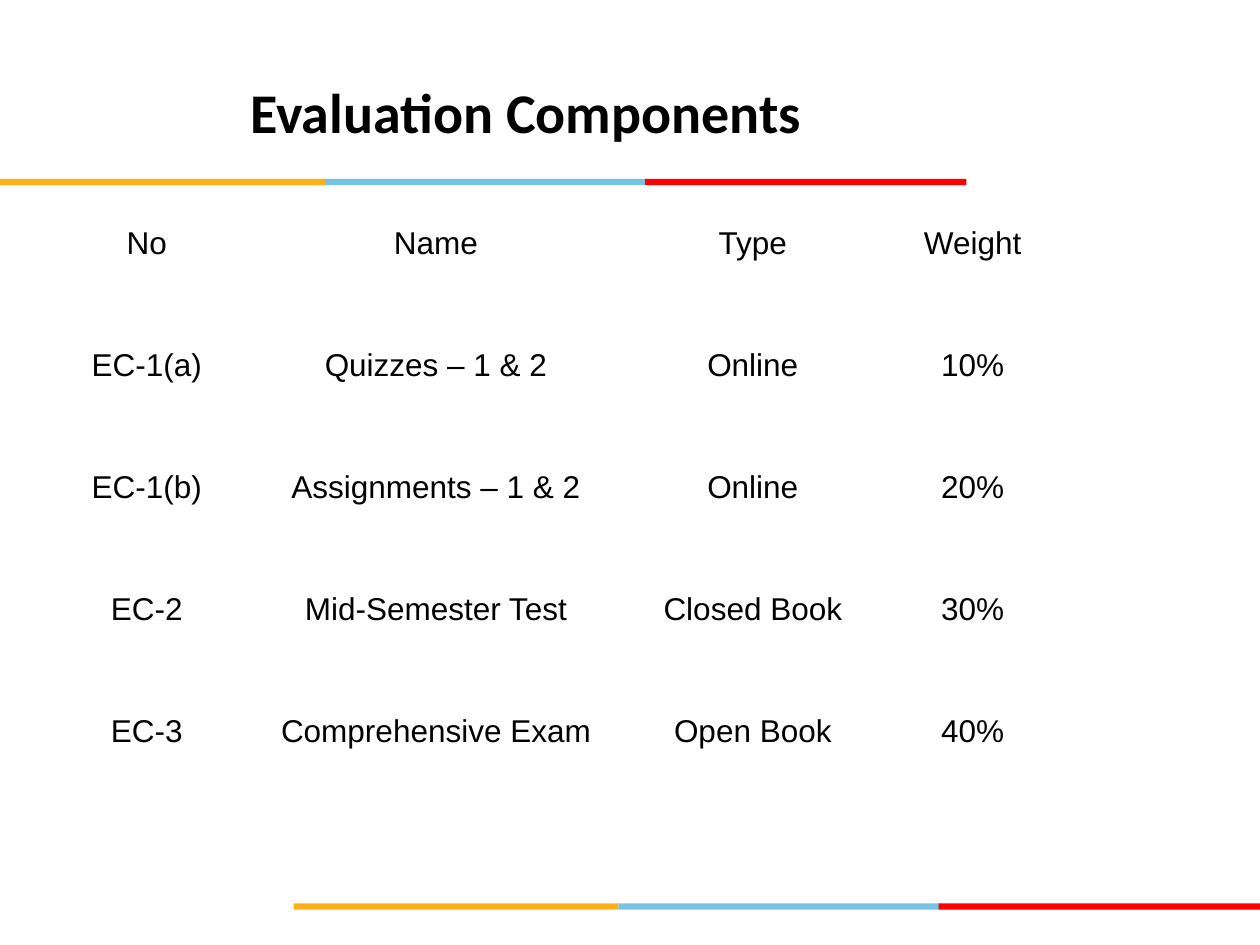
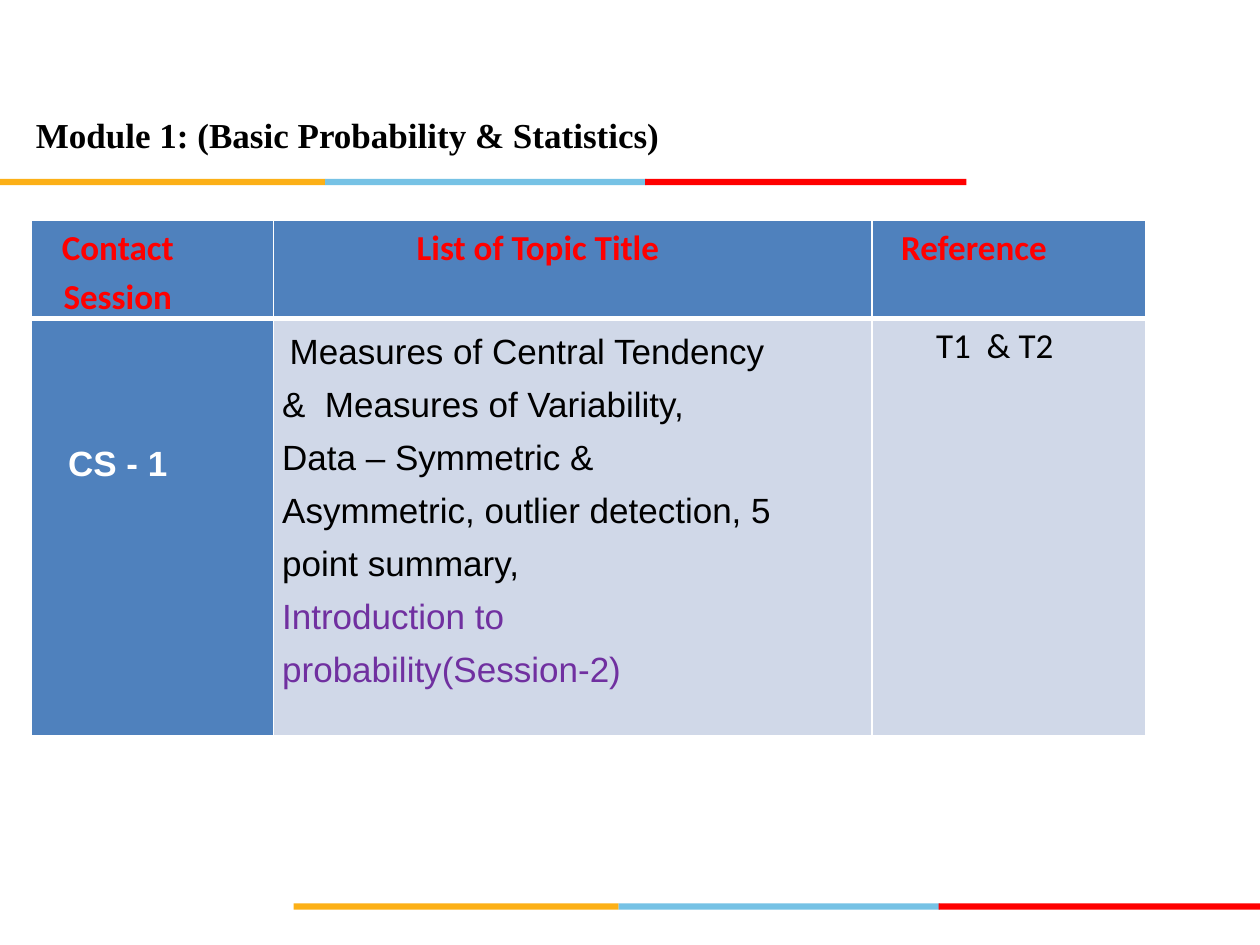
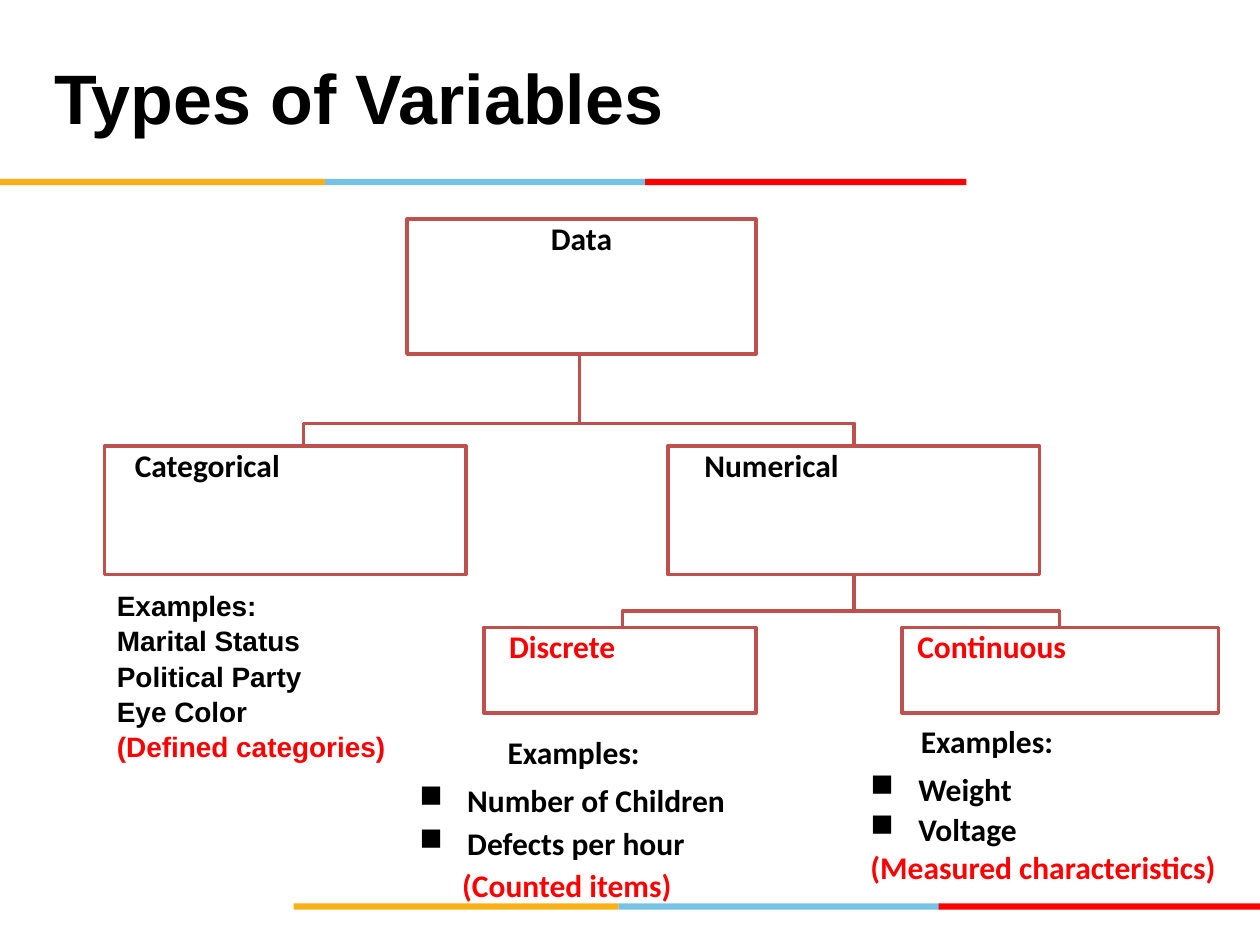
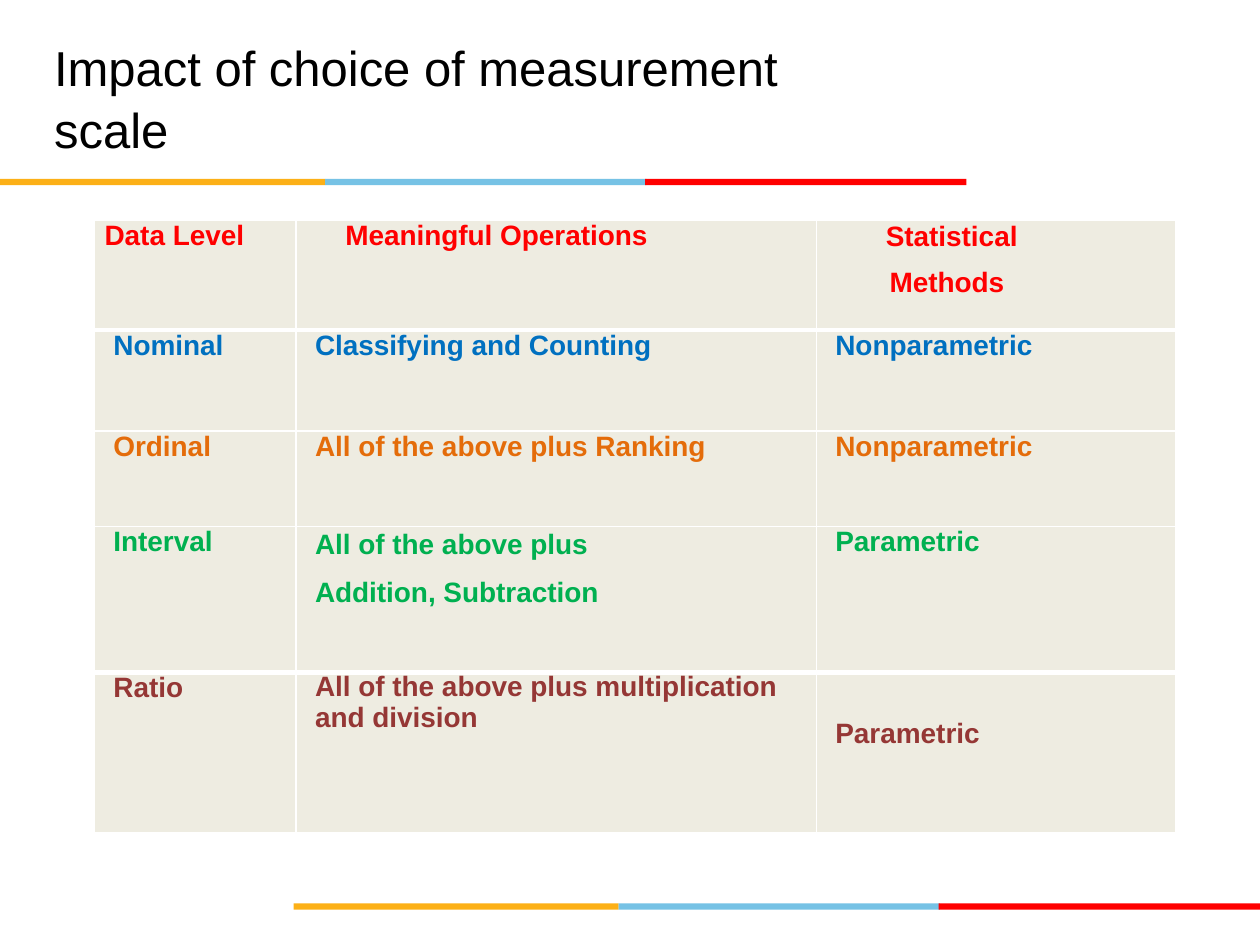
from lxml import etree
from pptx import Presentation
from pptx.dml.color import RGBColor
from pptx.enum import shapes, text
from pptx.oxml import ns
from pptx.util import Inches, Pt

COLORS = {
    "black": "000000", "white": "FFFFFF", "red": "FF0000", "amber": "FCB017",
    "sky": "76C2E5", "header": "4F81BD", "body": "D0D8E8", "purple": "7030A0",
    "outline": "C0504D", "sand": "EEECE1", "blue": "0070C0", "orange": "E46C0A",
    "green": "00B050", "maroon": "953735",
}
RGB = {name: RGBColor.from_string(value) for name, value in COLORS.items()}
CENTER = text.PP_ALIGN.CENTER


def write(holder, lines, margins=(0, 0, 0, 0), **base):
    """Fill a shape or cell; a line is a string or (string, changes to the base style)."""
    frame = holder.text_frame
    inset = holder if hasattr(holder, "margin_left") else frame
    (inset.margin_left, inset.margin_top,
     inset.margin_right, inset.margin_bottom) = [Inches(m) for m in margins]
    if inset is frame:
        frame.word_wrap = True
    for index, line in enumerate(lines):
        words, changes = (line, {}) if isinstance(line, str) else line
        style = {**base, **changes}
        paragraph = frame.paragraphs[0] if index == 0 else frame.add_paragraph()
        paragraph.text = words
        paragraph.alignment = style.get("align", text.PP_ALIGN.LEFT)
        if "spacing" in style:
            paragraph.line_spacing = style["spacing"]
        if index and "before" in style:
            paragraph.space_before = Pt(style["before"])
        properties = paragraph._p.get_or_add_pPr()
        properties.set("marL", str(Inches(style.get("left", 0))))
        properties.set("indent", str(Inches(style.get("first", 0))))
        if "bullet" in style:
            bullet = etree.SubElement(properties, ns.qn("a:buChar"))
            bullet.set("char", style["bullet"])
        for run in paragraph.runs:
            run.font.name = style.get("font", "Arial")
            run.font.size = Pt(style["size"])
            run.font.bold = style.get("bold", False)
            run.font.color.rgb = RGB[style.get("color", "black")]


def add_grid(slide, x, y, widths, heights, rows, thick_below=(), **base):
    """Add a white-ruled table; a cell is (lines, changes to the base style)."""
    table = slide.shapes.add_table(
        len(heights), len(widths), Inches(x), Inches(y),
        Inches(sum(widths)), Inches(sum(heights))).table
    table.first_row = table.horz_banding = False
    for column, width in zip(table.columns, widths):
        column.width = Inches(width)
    for r, (height, row) in enumerate(zip(heights, rows)):
        table.rows[r].height = Inches(height)
        thick = {"T": r - 1 in thick_below, "B": r in thick_below}
        for c, (lines, changes) in enumerate(row):
            style = {**base, **changes}
            fill = style.pop("fill", None)
            cell = table.cell(r, c)
            write(cell, lines, **style)
            properties = cell._tc.get_or_add_tcPr()
            for side in "LRTB":
                border = etree.SubElement(properties, ns.qn(f"a:ln{side}"))
                border.set("w", str(Pt(3 if thick.get(side) else 1)))
                solid = etree.SubElement(border, ns.qn("a:solidFill"))
                etree.SubElement(solid, ns.qn("a:srgbClr")).set("val", COLORS["white"])
            if fill:
                cell.fill.solid()
                cell.fill.fore_color.rgb = RGB[fill]
            else:
                cell.fill.background()


presentation = Presentation()
presentation.slide_width, presentation.slide_height = Inches(10), Inches(7.5)

# Colour bands and titles
BANDS = [("amber", 0, 2.58), ("sky", 2.58, 2.55), ("red", 5.12, 2.55)]
LEFT_TITLE = (0.43, 0.3, 6.69, 0.93)
TITLES = [
    ("Evaluation Components", (0.92, 0.42, 6.63, 0.93),
     dict(size=32, font="Calibri", bold=True, align=CENTER, margins=(0, 0, 0.12, 0))),
    ("Module 1: (Basic Probability & Statistics)", (0.17, 0.75, 5.75, 0.51),
     dict(size=20, font="Times New Roman", bold=True, align=CENTER, spacing=1.36,
          margins=(0.05, 0.05, 0.62, 0.05))),
    ("Types of Variables", LEFT_TITLE, dict(size=40, bold=True)),
    ("Impact of choice of measurement scale", LEFT_TITLE,
     dict(size=28, spacing=1.05, margins=(0, 0, 0.2, 0))),
]
slides = []
for title, box, style in TITLES:
    slide = presentation.slides.add_slide(presentation.slide_layouts[6])
    slides.append(slide)
    for offset, top in [(2.33, 7.17), (0, 1.42)]:
        for color, left, width in BANDS:
            band = slide.shapes.add_shape(
                shapes.MSO_SHAPE.RECTANGLE, Inches(offset + left), Inches(top),
                Inches(width), Inches(0.05))
            band.shadow.inherit = False
            band.fill.solid()
            band.fill.fore_color.rgb = RGB[color]
            band.line.fill.background()
    title_box = slide.shapes.add_textbox(*[Inches(value) for value in box])
    title_box.text_frame.vertical_anchor = text.MSO_ANCHOR.MIDDLE
    write(title_box, [title], **style)
evaluation, module, variables, scales = slides

# Slide 1: evaluation components
components = [
    ("No", "Name", "Type", "Weight"),
    ("EC-1(a)", "Quizzes – 1 & 2", "Online", "10%"),
    ("EC-1(b)", "Assignments – 1 & 2", "Online", "20%"),
    ("EC-2", "Mid-Semester Test", "Closed Book", "30%"),
    ("EC-3", "Comprehensive Exam", "Open Book", "40%"),
]
add_grid(evaluation, 0.42, 1.75, [1.51, 3.08, 1.95, 1.54], [0.97] * 5,
         [[([words], {}) for words in row] for row in components],
         size=18, align=CENTER, margins=(0.02, 0.04, 0.04, 0.04))

# Slide 2: module plan
heading = dict(font="Calibri", bold=True, color="red", align=CENTER, fill="header")
topics = [
    ("Measures of Central Tendency &  Measures of Variability,", {"first": 0.06}),
    "Data – Symmetric & Asymmetric, outlier detection, 5 point summary,",
    ("Introduction to probability(Session-2)", {"color": "purple"}),
]
plan = [
    [([words], heading) for words in ("Contact Session", "List of Topic Title", "Reference")],
    [(["CS - 1"], dict(bold=True, color="white", align=CENTER, fill="header",
                       margins=(0.07, 0.95, 0.62, 0))),
     (topics, dict(spacing=1.36, fill="body")),
     (["T1  & T2"], dict(font="Calibri", left=0.44, fill="body"))],
]
add_grid(module, 0.25, 1.75, [1.92, 4.75, 2.17], [0.78, 3.31], plan, thick_below={0},
         size=20, spacing=1.15, margins=(0.07, 0, 0.62, 0))

# Slide 3: tree of variable types
branches = [
    [(8.41, 4.99), (8.41, 4.85), (6.78, 4.85), (6.78, 4.56)],
    [(4.94, 4.98), (4.94, 4.85), (6.78, 4.85), (6.78, 4.56)],
    [(6.78, 3.54), (6.78, 3.36), (4.6, 3.36), (4.6, 2.81)],
    [(2.25, 3.58), (2.41, 3.58), (2.41, 3.36), (4.65, 3.36)],
]
builder = None
for branch in branches:
    points = [(Inches(x), Inches(y)) for x, y in branch]
    if builder is None:
        builder = variables.shapes.build_freeform(*points[0])
    else:
        builder.move_to(*points[0])
    builder.add_line_segments(points[1:], close=False)
tree = builder.convert_to_shape()
tree.shadow.inherit = False
tree.fill.background()
tree.line.color.rgb = RGB["outline"]
tree.line.width = Pt(2)

label = dict(size=18, font="Calibri", bold=True)
nodes = [
    ("Continuous", (7.16, 4.98, 2.51, 0.68), dict(left=0.12, color="red")),
    ("Discrete", (3.84, 4.98, 2.16, 0.68), dict(left=0.2, color="red")),
    ("Numerical", (5.3, 3.54, 2.95, 1.02), dict(left=0.29)),
    ("Categorical", (0.83, 3.54, 2.87, 1.02), dict(left=0.24)),
    ("Data", (3.23, 1.74, 2.77, 1.07), dict(align=CENTER)),
]
for name, box, style in nodes:
    node = variables.shapes.add_shape(
        shapes.MSO_SHAPE.RECTANGLE, *[Inches(value) for value in box])
    node.shadow.inherit = False
    node.fill.solid()
    node.fill.fore_color.rgb = RGB["white"]
    node.line.color.rgb = RGB["outline"]
    node.line.width = Pt(2)
    node.text_frame.vertical_anchor = text.MSO_ANCHOR.TOP
    write(node, [name], **label, **style)

item = dict(bullet="■", left=0.38, first=-0.38)
examples = [
    ((0.83, 4.56, 3, 1.6), (0.1, 0.1, 0.1, 0.1), dict(size=16, bold=True, spacing=1.05),
     ["Examples:", "Marital Status", "Political Party", "Eye Color",
      ("(Defined categories)", {"color": "red"})]),
    ((3.23, 5.77, 3.5, 1.47), (0.1, 0.05, 0.1, 0.05), label,
     [("Examples:", {"left": 0.7}),
      ("Number of Children", {**item, "before": 6}),
      ("Defects per hour", {**item, "before": 1.1, "spacing": 1.07}),
      ("(Counted items)", dict(left=0.34, before=1.1, spacing=1.07, color="red"))]),
    ((6.81, 5.68, 3.15, 1.41), (0.1, 0.05, 0.1, 0.05), label,
     [("Examples:", {"left": 0.4}),
      ("Weight", {**item, "before": 6}),
      ("Voltage", {**item, "before": 1.1}),
      ("(Measured characteristics)", {"color": "red"})]),
]
for box, margins, style, lines in examples:
    example_box = variables.shapes.add_textbox(*[Inches(value) for value in box])
    write(example_box, lines, margins, **style)

# Slide 4: measurement scales
levels = [
    ("red", (["Data Level"], {"left": 0.08}),
     (["Meaningful Operations"], {"left": 0.39}),
     (["Statistical", ("Methods", {"left": 0.58})], {"left": 0.55, "spacing": Pt(18.4)})),
    ("blue", (["Nominal"], {}), (["Classifying and Counting"], {}), (["Nonparametric"], {})),
    ("orange", (["Ordinal"], {}), (["All of the above plus Ranking"], {}),
     (["Nonparametric"], {})),
    ("green", (["Interval"], {}),
     (["All of the above plus", "Addition, Subtraction"], {"spacing": Pt(19.4)}),
     (["Parametric"], {})),
    ("maroon", (["Ratio"], {}),
     (["All of the above plus multiplication and division"], {"spacing": 0.97}),
     (["Parametric"], {"margins": (0, 0.36, 0, 0)})),
]
add_grid(scales, 0.75, 1.75, [1.6, 4.13, 2.85], [0.87, 0.8, 0.76, 1.16, 1.27],
         [[(lines, {**changes, "color": color}) for lines, changes in cells]
          for color, *cells in levels],
         thick_below={0, 3}, size=16, bold=True, left=0.15, before=8, fill="sand")

presentation.save("out.pptx")
